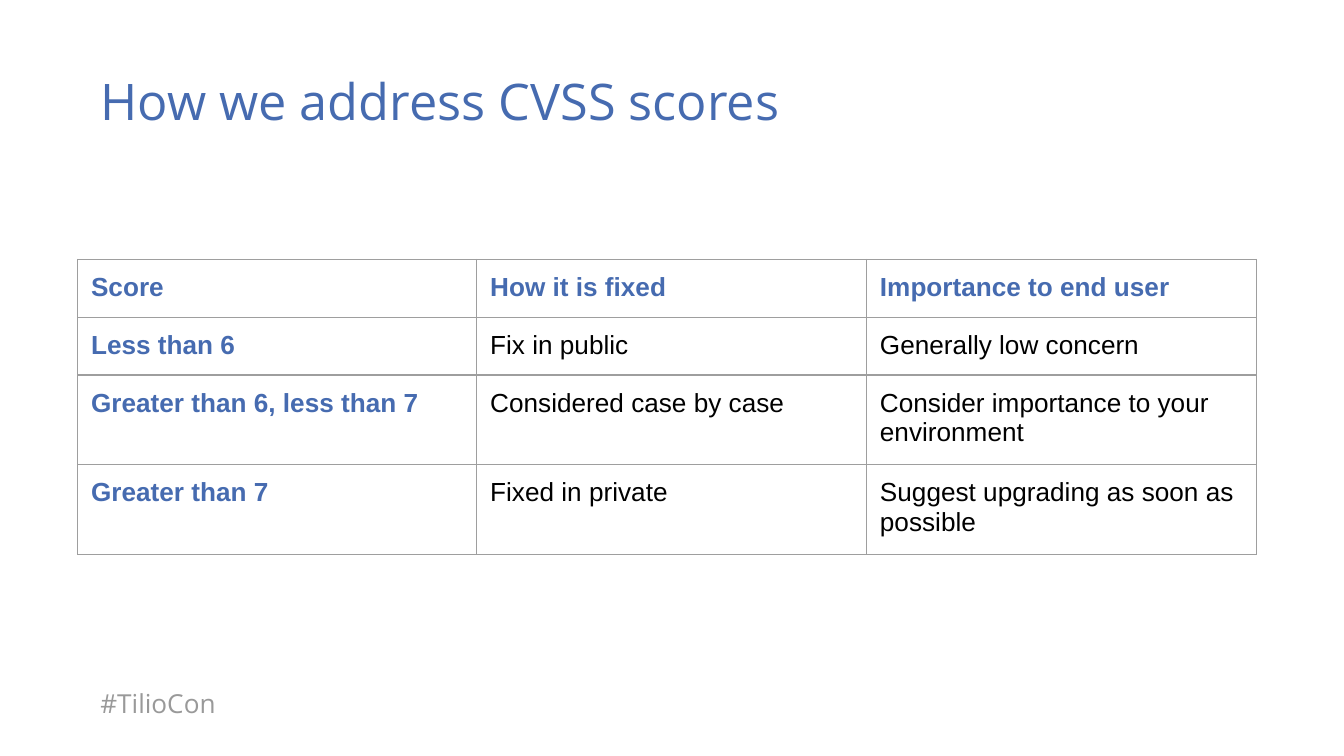
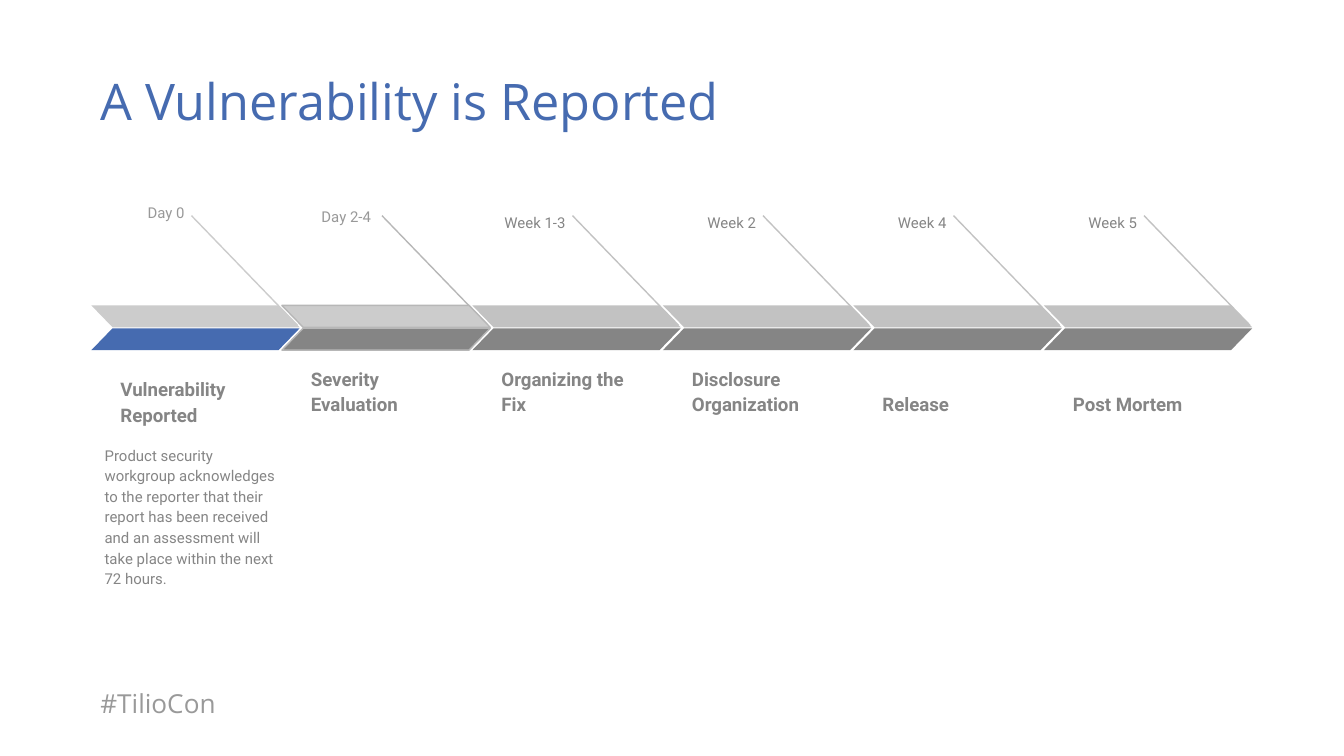
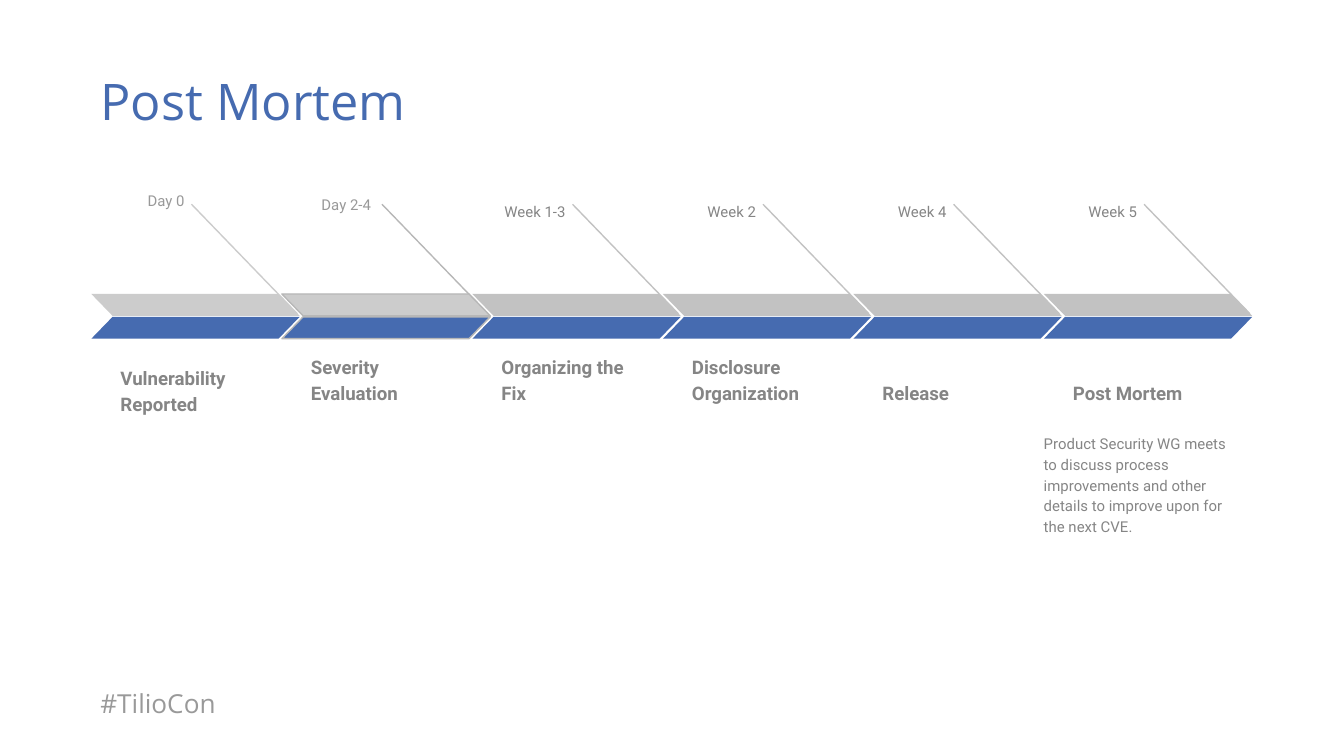
from typing import NamedTuple

from lxml import etree
from pptx import Presentation
from pptx.dml.color import RGBColor
from pptx.enum.shapes import MSO_CONNECTOR, MSO_SHAPE
from pptx.enum.text import MSO_ANCHOR, MSO_AUTO_SIZE, PP_ALIGN
from pptx.oxml.ns import qn
from pptx.shapes.autoshape import Shape
from pptx.shapes.shapetree import GroupShapes
from pptx.slide import Slide, SlideLayout
from pptx.table import _Cell
from pptx.text.text import TextFrame
from pptx.util import Emu, Pt

LINE = MSO_CONNECTOR.STRAIGHT
SLANT = MSO_SHAPE.PARALLELOGRAM
TOP, BOTTOM = MSO_ANCHOR.TOP, MSO_ANCHOR.BOTTOM
LEFT, RIGHT = PP_ALIGN.LEFT, PP_ALIGN.RIGHT
FIXED, GROW = MSO_AUTO_SIZE.NONE, MSO_AUTO_SIZE.SHAPE_TO_FIT_TEXT

BLUE = RGBColor(0x46, 0x6B, 0xB0)
BLACK = RGBColor(0, 0, 0)
DARK = RGBColor(0x85, 0x85, 0x85)
MID = RGBColor(0x99, 0x99, 0x99)
RULE = RGBColor(0x9E, 0x9E, 0x9E)
EDGE = RGBColor(0xB7, 0xB7, 0xB7)
SOFT = RGBColor(0xC2, 0xC2, 0xC2)
PALE = RGBColor(0xCC, 0xCC, 0xCC)

HEAD, PLAIN, LABEL = "Open Sans", "Arial", "Roboto"
SCALE = 2286  # EMU in one px, 400 px to the inch
PAD = 40
THIN = Pt(0.75)

# Timeline measures
START, PITCH = 272, 567
BAND_W, BAND_H, SKEW = 620, 65, 0.97
RISE = 34  # how much higher the closing timeline sits


class Box(NamedTuple):
    x: int
    y: int
    w: int
    h: int


class Stage(NamedTuple):
    name: str
    date: str
    date_x: int = 45
    date_y: int = 589
    name_y: int = 1081
    ink: RGBColor = DARK
    top: RGBColor = SOFT
    line: RGBColor = SOFT
    edge: RGBColor | None = None


class Note(NamedTuple):
    stage: int
    shift: int
    width: int
    text: str


STAGES = [
    Stage("Vulnerability Reported", "Day 0", date_y=557, name_y=1113,
          ink=MID, top=PALE, line=PALE),
    Stage("Severity Evaluation", "Day 2-4", date_x=33, date_y=569,
          ink=MID, top=PALE, line=EDGE, edge=EDGE),
    Stage("Organizing the Fix", "Week 1-3"),
    Stage("Disclosure Organization", "Week 2"),
    Stage("Release", "Week 4"),
    Stage("Post Mortem", "Week 5"),
]
FIRST = Note(0, 0, 620,
             "Product security workgroup acknowledges to the reporter that their "
             "report has been received and an assessment will take place within "
             "the next 72 hours.")
LAST = Note(5, -40, 660,
            "Product Security WG meets to discuss process improvements and other "
            "details to improve upon for the next CVE.")

SCORES = [
    ["Score", "How it is fixed", "Importance to end user"],
    ["Less than 6", "Fix in public", "Generally low concern"],
    ["Greater than 6, less than 7", "Considered case by case",
     "Consider importance to your environment"],
    ["Greater than 7", "Fixed in private", "Suggest upgrading as soon as possible"],
]
COLS = [1188, 1160, 1160]
ROWS = [172, 172, 267, 267]


def px(size: int) -> Emu:
    return Emu(size * SCALE)


def spots(box: Box) -> list[Emu]:
    return [px(size) for size in box]


def style(frame: TextFrame, text: str, *, font: str, size: int, color: RGBColor,
          bold: bool = False, align: PP_ALIGN = LEFT, lead: float = 1.0,
          after: int = 0) -> None:
    """Set the words and their format, leaving the frame itself alone."""
    para = frame.paragraphs[0]
    para.alignment = align
    para.line_spacing = lead
    para.space_before, para.space_after = Pt(0), Pt(after)
    run = para.add_run()
    run.text = text
    run.font.name, run.font.size = font, Pt(size)
    run.font.bold = bold
    run.font.color.rgb = color


def write(frame: TextFrame, text: str, *, anchor: MSO_ANCHOR = TOP,
          fit: MSO_AUTO_SIZE = FIXED, **form) -> None:
    """Set up a text frame and fill it with formatted text."""
    frame.word_wrap = True
    frame.auto_size = fit
    frame.vertical_anchor = anchor
    frame.margin_left = frame.margin_right = px(PAD)
    frame.margin_top = frame.margin_bottom = px(PAD)
    style(frame, text, **form)


def label(shapes: GroupShapes, box: Box, text: str, **form) -> Shape:
    area = shapes.add_textbox(*spots(box))
    write(area.text_frame, text, **form)
    return area


def start(deck: Presentation, layout: SlideLayout, title: str) -> Slide:
    """Add a slide with its title."""
    slide = deck.slides.add_slide(layout)
    head = slide.shapes.title
    head.left, head.top, head.width, head.height = spots(Box(259, 168, 3484, 356))
    write(head.text_frame, title, font=HEAD, size=27, color=BLUE)
    return slide


def share_foot(slide: Slide) -> None:
    """Put the footer on the layout, so that every slide shows it."""
    foot = label(slide.shapes, Box(259, 2005, 836, 176), "#TilioCon",
                 font=HEAD, size=14, color=MID, fit=GROW)
    tree = slide.slide_layout.shapes.element
    foot.element.find(".//" + qn("p:cNvPr")).set("id", str(len(tree) + 100))
    tree.append(foot.element)


def frame_cell(cell: _Cell) -> None:
    """Draw a thin rule on all four sides of a cell."""
    props = cell._tc.get_or_add_tcPr()
    for side in ("a:lnL", "a:lnR", "a:lnT", "a:lnB"):
        rule = etree.SubElement(props, qn(side), w=str(THIN))
        fill = etree.SubElement(rule, qn("a:solidFill"))
        etree.SubElement(fill, qn("a:srgbClr"), val=str(RULE))


def draw_table(slide: Slide) -> None:
    box = Box(231, 772, sum(COLS), sum(ROWS))
    table = slide.shapes.add_table(len(ROWS), len(COLS), *spots(box)).table
    table.first_row = table.horz_banding = False
    for col, width in zip(table.columns, COLS):
        col.width = px(width)
    for row, height in zip(table.rows, ROWS):
        row.height = px(height)
    for r, words in enumerate(SCORES):
        for c, text in enumerate(words):
            cell = table.cell(r, c)
            cell.margin_left = cell.margin_right = px(PAD)
            cell.margin_top = cell.margin_bottom = px(PAD)
            frame_cell(cell)
            cell.fill.background()
            key = r == 0 or c == 0
            style(cell.text_frame, text, font=PLAIN, size=14,
                  color=BLUE if key else BLACK, bold=key)


def draw_band(shapes: GroupShapes, x: int, y: int, fill: RGBColor,
              edge: RGBColor | None, flip: bool = False) -> None:
    band = shapes.add_shape(SLANT, *spots(Box(x, y, BAND_W, BAND_H)))
    band.adjustments[0] = SKEW
    band.shadow.inherit = False
    band.fill.solid()
    band.fill.fore_color.rgb = fill
    if edge is None:
        band.line.fill.background()
    else:
        band.line.color.rgb = edge
        band.line.width = THIN
    if flip:
        band.element.spPr.find(qn("a:xfrm")).set("flipH", "1")


def draw_line(shapes: GroupShapes, x: int, y: int, color: RGBColor) -> None:
    line = shapes.add_connector(LINE, px(x + 298), px(y), px(x + 613), px(y + 326))
    line.line.color.rgb = color
    line.line.width = THIN
    etree.SubElement(line.element.spPr, qn("a:effectLst"))


def draw_stages(slide: Slide, done: int, note: Note, rise: int = 0) -> None:
    """Draw the timeline with its first `done` stages in blue."""
    for i, stage in enumerate(STAGES):
        x = START + i * PITCH
        shapes = slide.shapes.add_group_shape().shapes
        draw_line(shapes, x, 642 - rise, stage.line)
        draw_band(shapes, x, 909 - rise, stage.top, stage.edge, flip=True)
        draw_band(shapes, x, 977 - rise, BLUE if i < done else DARK, stage.edge)
        label(shapes, Box(x + 47, stage.name_y - rise, 512, 196), stage.name,
              font=LABEL, size=10, color=DARK, bold=True, anchor=BOTTOM, lead=1.15)
        if i == note.stage:
            label(shapes, Box(x + note.shift, 1281 - rise, note.width, 324), note.text,
                  font=LABEL, size=8, color=DARK, lead=1.15, after=16)
        label(shapes, Box(x + stage.date_x, stage.date_y - rise, 272, 104), stage.date,
              font=LABEL, size=8, color=stage.ink, align=RIGHT, lead=1.15, after=16)


def main() -> None:
    deck = Presentation()
    deck.slide_width, deck.slide_height = px(4000), px(2250)
    layout = deck.slide_layouts[5]
    scores = start(deck, layout, "How we address CVSS scores")
    share_foot(scores)
    draw_table(scores)
    draw_stages(start(deck, layout, "A Vulnerability is Reported"), 1, FIRST)
    draw_stages(start(deck, layout, "Post Mortem"), len(STAGES), LAST, RISE)
    deck.save("out.pptx")


if __name__ == "__main__":
    main()
